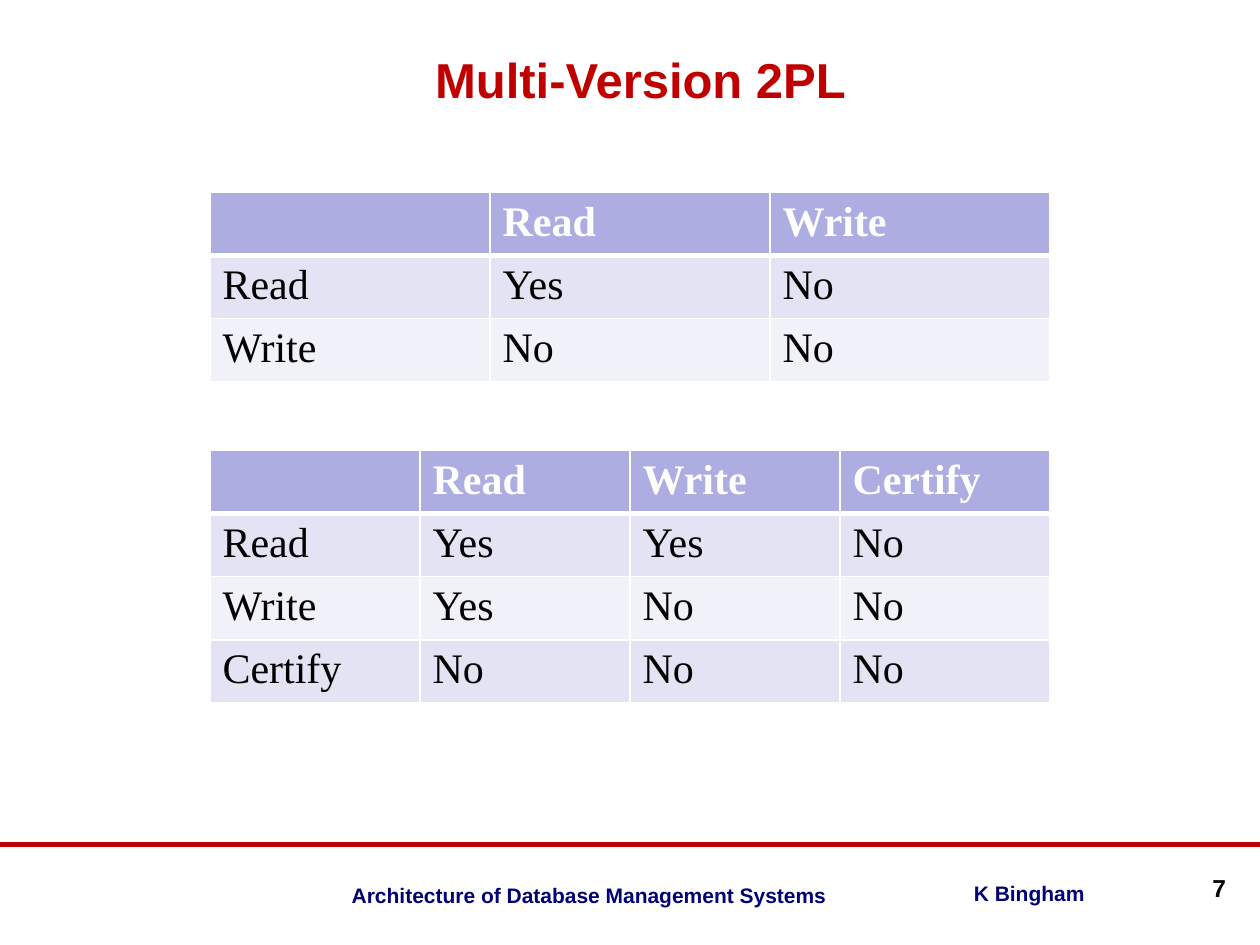
from dataclasses import dataclass

from lxml import etree
from pptx import Presentation
from pptx.dml.color import RGBColor
from pptx.enum import shapes, text
from pptx.oxml import ns
from pptx.util import Pt

LEFT, CENTER, RIGHT = text.PP_ALIGN.LEFT, text.PP_ALIGN.CENTER, text.PP_ALIGN.RIGHT
JUSTIFY = text.PP_ALIGN.JUSTIFY


@dataclass(frozen=True)
class Theme:
    red: str = "C00000"
    navy: str = "000076"
    black: str = "000000"
    white: str = "FFFFFF"
    head: str = "ADADE2"
    bands: tuple = ("E3E3F4", "F1F1FA")
    sans: str = "Arial"
    serif: str = "Times New Roman"
    title: int = 28
    body: int = 24
    page: int = 14
    foot: int = 12


THEME = Theme()


def write(frame, words, *, size, color, font=THEME.sans, bold=True, align=LEFT):
    para = frame.paragraphs[0]
    para.alignment = align
    run = para.add_run()
    run.text = words
    run.font.name = font
    run.font.size = Pt(size)
    run.font.bold = bold
    run.font.color.rgb = RGBColor.from_string(color)


def add_label(slide, words, left, top, width, height,
              anchor=text.MSO_ANCHOR.TOP, **style):
    frame = slide.shapes.add_textbox(
        Pt(left), Pt(top), Pt(width), Pt(height)).text_frame
    frame.word_wrap = True
    frame.vertical_anchor = anchor
    write(frame, words, **style)


def add_rule(slide, top, width):
    """Draw the line above the footer."""
    line = slide.shapes.add_connector(
        shapes.MSO_CONNECTOR.STRAIGHT, Pt(0), Pt(top), Pt(width), Pt(top))
    line.line.color.rgb = RGBColor.from_string(THEME.red)
    line.line.width = Pt(3)
    etree.SubElement(line._element.spPr, ns.qn("a:effectLst"))


def set_edges(cell, **widths):
    """Give the cell white borders; call before its fill is set."""
    props = cell._tc.get_or_add_tcPr()
    for side in "LRTB":
        edge = etree.SubElement(props, ns.qn(f"a:ln{side}"),
                                w=str(Pt(widths.get(side, 1))))
        fill = etree.SubElement(edge, ns.qn("a:solidFill"))
        etree.SubElement(fill, ns.qn("a:srgbClr"), val=THEME.white)


def add_grid(slide, rows, left, top, width, pitch):
    """Add a lock table with a header row and banded rows below."""
    count = len(rows[0])
    table = slide.shapes.add_table(
        len(rows), count, Pt(left), Pt(top), Pt(width), Pt(pitch * len(rows))).table
    for col in table.columns:
        col.width = Pt(width / count)
    for i, row in enumerate(rows):
        head = i == 0
        table.rows[i].height = Pt(pitch)
        for j, words in enumerate(row):
            cell = table.cell(i, j)
            set_edges(cell, B=3 if head else 1, T=3 if i == 1 else 1)
            cell.fill.solid()
            cell.fill.fore_color.rgb = RGBColor.from_string(
                THEME.head if head else THEME.bands[(i - 1) % 2])
            if words:
                write(cell.text_frame, words, size=THEME.body, font=THEME.serif,
                      color=THEME.white if head else THEME.black, bold=head)


def main():
    deck = Presentation()
    deck.slide_width, deck.slide_height = Pt(720), Pt(540)
    slide = deck.slides.add_slide(deck.slide_layouts[6])

    foot = dict(size=THEME.foot, color=THEME.navy)
    add_label(slide, "Architecture of Database Management Systems",
              193.7, 501, 285.8, 19.5, align=RIGHT, **foot)
    add_rule(slide, 482.4, 720)
    add_label(slide, "K Bingham", 549.4, 499.7, 90.7, 19.5, align=JUSTIFY, **foot)
    add_label(slide, "7", 678.2, 495.4, 29.5, 19.5, align=RIGHT,
              size=THEME.page, color=THEME.black)
    add_label(slide, "Multi-Version 2PL", 12, 12, 708, 66, align=CENTER,
              anchor=text.MSO_ANCHOR.MIDDLE, size=THEME.title, color=THEME.red)

    place = dict(left=120, width=480, pitch=29.2)
    add_grid(slide, [("", "Read", "Write"),
                     ("Read", "Yes", "No"),
                     ("Write", "No", "No")], top=110, **place)
    add_grid(slide, [("", "Read", "Write", "Certify"),
                     ("Read", "Yes", "Yes", "No"),
                     ("Write", "Yes", "No", "No"),
                     ("Certify", "No", "No", "No")], top=257.5, **place)
    deck.save("out.pptx")


if __name__ == "__main__":
    main()
